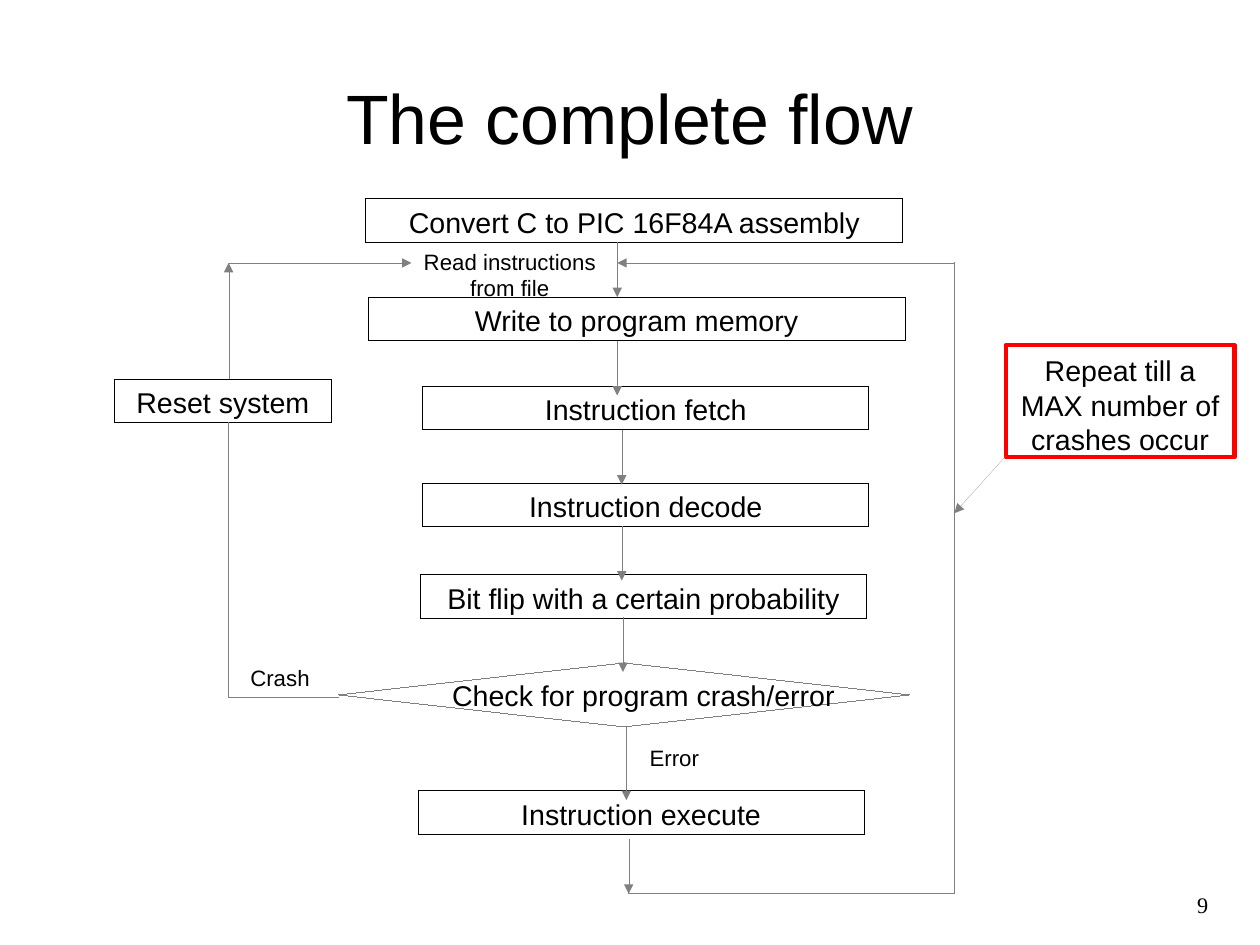
"""Build the slide with the complete fault-injection flow."""
from lxml.etree import SubElement
from pptx import Presentation
from pptx.dml.color import RGBColor
from pptx.enum.shapes import MSO_CONNECTOR, MSO_SHAPE
from pptx.enum.text import MSO_ANCHOR, PP_ALIGN
from pptx.oxml.ns import qn
from pptx.util import Cm, Inches, Pt

BLACK = RGBColor(0x00, 0x00, 0x00)
GRAY = RGBColor(0x80, 0x80, 0x80)
RED = RGBColor(0xFF, 0x00, 0x00)

TITLE = "The complete flow"
BOX_H = 0.38
STEPS = [
    ("Convert C to PIC 16F84A assembly", 3.2, 1.74, 4.7),
    ("Write to program memory", 3.22, 2.6, 4.7),
    ("Instruction fetch", 3.7, 3.38, 3.9),
    ("Instruction decode", 3.7, 4.23, 3.9),
    ("Bit flip with a certain probability", 3.68, 5.03, 3.9),
    ("Instruction execute", 3.66, 6.92, 3.9),
    ("Reset system", 1, 3.32, 1.9),
]
REPEAT = "Repeat till a MAX number of crashes occur"
DECISION = (2.96, 5.8, 5, 0.56)
LABELS = [
    ("Check for program crash/error", 3.68, 5.88, 3.9, 0.38, 18),
    ("Read instructions from file", 3.4, 2.12, 2.12, 0.54, 14),
    ("Error", 5.5, 6.46, 0.8, 0.34, 14),
    ("Crash", 2, 5.76, 0.9, 0.34, 14),
]
ARROW_LEN = 0.48
DOWN_ARROWS = [(5.4, 2.12), (5.4, 2.98), (5.44, 3.76), (5.44, 4.6),
               (5.45, 5.4), (5.5, 7.34)]
RESET_X, RETURN_X, RETURN_Y, END_Y = 2, 8.35, 2.3, 7.82
PATHS = [
    [(5.48, 6.36), (5.48, 7)],
    [(8.8, 3.99), (RETURN_X, 4.49)],
    [(5.5, END_Y), (RETURN_X, END_Y), (RETURN_X, RETURN_Y), (5.4, RETURN_Y)],
    [(RESET_X, 3.32), (RESET_X, RETURN_Y)],
    [(RESET_X, RETURN_Y), (3.6, RETURN_Y)],
]
CRASH_PATH = [(2.96, 6.1), (RESET_X, 6.1), (RESET_X, 3.7)]


def write(sp, text, size, align=PP_ALIGN.CENTER, font="Arial", inset=(0.1, 0.05)):
    tf = sp.text_frame
    tf.word_wrap = True
    tf.vertical_anchor = MSO_ANCHOR.TOP
    tf.margin_left = tf.margin_right = Inches(inset[0])
    tf.margin_top = tf.margin_bottom = Inches(inset[1])
    p = tf.paragraphs[0]
    p.text = text
    p.alignment = align
    p.font.name = font
    p.font.size = Pt(size)
    p.font.color.rgb = BLACK


def set_line(sp, color, width=0):
    sp.line.color.rgb = color
    sp.line.width = Pt(width)
    sp._element.remove(sp._element.find(qn("p:style")))


def add_outline(s, kind, box, color, width=0):
    sp = s.shapes.add_shape(kind, *map(Inches, box))
    sp.shadow.inherit = False
    sp.fill.background()
    set_line(sp, color, width)
    return sp


def add_label(s, text, box, size, **style):
    write(s.shapes.add_textbox(*map(Inches, box)), text, size, **style)


def add_path(s, points, arrow=True):
    for start, end in zip(points, points[1:]):
        line = s.shapes.add_connector(MSO_CONNECTOR.STRAIGHT, *map(Inches, start + end))
        set_line(line, GRAY)
        sp_pr = line._element.spPr
        if arrow and end == points[-1]:
            SubElement(sp_pr.find(qn("a:ln")), qn("a:tailEnd"), type="triangle")
        SubElement(sp_pr, qn("a:effectLst"))


def main():
    prs = Presentation()
    prs.slide_width = Cm(28)
    prs.slide_height = Cm(21)
    s = prs.slides.add_slide(prs.slide_layouts[5])

    title = s.shapes.title
    title.left, title.top = Inches(0.55), Inches(0.33)
    title.width, title.height = Inches(9.92), Inches(1.38)
    write(title, TITLE, 44, inset=(0, 0))
    title.text_frame.vertical_anchor = MSO_ANCHOR.MIDDLE

    for text, x, y, w in STEPS:
        write(add_outline(s, MSO_SHAPE.RECTANGLE, (x, y, w, BOX_H), BLACK), text, 18)
    repeat = add_outline(s, MSO_SHAPE.RECTANGLE, (8.8, 3.02, 2, 0.98), RED, 2.83)
    write(repeat, REPEAT, 18, inset=(0.12, 0.07))
    add_outline(s, MSO_SHAPE.FLOWCHART_DECISION, DECISION, GRAY)

    for text, *box, size in LABELS:
        add_label(s, text, box, size)
    for x, y in DOWN_ARROWS:
        add_path(s, [(x, y), (x, y + ARROW_LEN)])
    for points in PATHS:
        add_path(s, points)
    add_path(s, CRASH_PATH, arrow=False)

    add_label(s, "9", (8, 7.8, 2.57, 0.57), 14, align=PP_ALIGN.RIGHT,
              font="Times New Roman", inset=(0, 0))
    prs.save("out.pptx")


if __name__ == "__main__":
    main()
